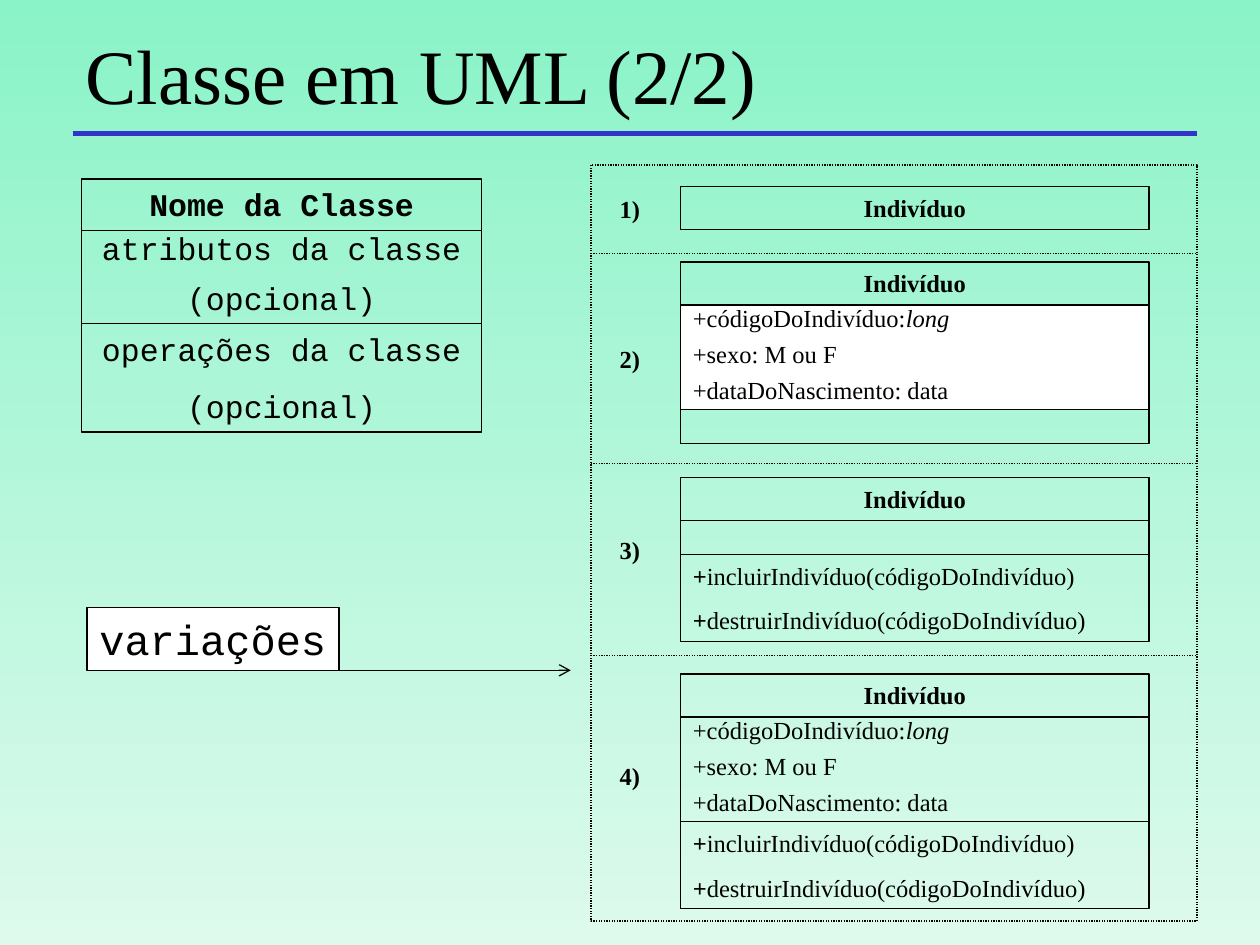
from dataclasses import dataclass

from lxml import etree
from pptx import Presentation
from pptx.dml.color import RGBColor
from pptx.enum.dml import MSO_LINE
from pptx.enum.shapes import MSO_CONNECTOR, MSO_SHAPE
from pptx.enum.text import MSO_ANCHOR, MSO_AUTO_SIZE, PP_ALIGN
from pptx.oxml.ns import qn
from pptx.util import Inches, Pt

LEFT, CENTER = PP_ALIGN.LEFT, PP_ALIGN.CENTER
TOP = MSO_ANCHOR.TOP
GROW, FIXED = MSO_AUTO_SIZE.SHAPE_TO_FIT_TEXT, MSO_AUTO_SIZE.NONE
RECT, STRAIGHT = MSO_SHAPE.RECTANGLE, MSO_CONNECTOR.STRAIGHT
DOTTED = MSO_LINE.ROUND_DOT


@dataclass(frozen=True)
class Theme:
    ink: RGBColor = RGBColor(0, 0, 0)
    paper: RGBColor = RGBColor(255, 255, 255)
    rule: RGBColor = RGBColor(0x33, 0x33, 0xCC)
    bg_top: RGBColor = RGBColor(0x8A, 0xF3, 0xC7)
    bg_bottom: RGBColor = RGBColor(0xDD, 0xFA, 0xED)
    serif: str = "Times New Roman"
    mono: str = "Courier New"
    title: int = 44
    label: int = 24
    model: int = 18
    body: int = 14
    hairline: float = 0.75


T = Theme()


def write(sp, paragraphs, size=T.body, font=T.serif, align=LEFT, before=0,
          spacing=None, wrap=True, fit=GROW):
    """Each paragraph is a list of (text, style); style holds b and/or i."""
    tf = sp.text_frame
    tf.word_wrap, tf.auto_size, tf.vertical_anchor = wrap, fit, TOP
    for i, runs in enumerate(paragraphs):
        p = tf.add_paragraph() if i else tf.paragraphs[0]
        p.alignment, p.space_before = align, Pt(before)
        if spacing:
            p.line_spacing = spacing
        for text, style in runs:
            r = p.add_run()
            r.text = text
            r.font.name, r.font.size = font, Pt(size)
            r.font.bold, r.font.italic = "b" in style, "i" in style
            r.font.color.rgb = T.ink


def draw(shapes, x, y, w, h, kind="box", fill=None, color=T.ink,
         width=T.hairline, dash=None):
    """Outlined box, or a line whose run and rise are w and h."""
    if kind == "line":
        sp = shapes.add_connector(STRAIGHT, Inches(x), Inches(y),
                                  Inches(x + w), Inches(y + h))
        etree.SubElement(sp._element.spPr, qn("a:effectLst"))
    else:
        sp = shapes.add_shape(RECT, Inches(x), Inches(y), Inches(w), Inches(h))
        sp.shadow.inherit = False
        if fill is None:
            sp.fill.background()
        else:
            sp.fill.solid()
            sp.fill.fore_color.rgb = fill
    sp.line.color.rgb, sp.line.width = color, Pt(width)
    if dash:
        sp.line.dash_style = dash
    return sp


prs = Presentation()
prs.slide_width, prs.slide_height = Inches(10), Inches(7.5)
s = prs.slides.add_slide(prs.slide_layouts[5])

# Background
bg = s.background.fill
bg.gradient()
bg.gradient_angle = 270
for stop, color in zip(bg.gradient_stops, (T.bg_top, T.bg_bottom)):
    stop.color.rgb = color

# Title and rule
title = s.shapes.title
title.left, title.top = Inches(0.58), Inches(0.17)
title.width, title.height = Inches(8.5), Inches(0.75)
write(title, [[("Classe em UML (2/2)", "")]], size=T.title, fit=FIXED)
draw(s.shapes, 0.58, 1.06, 8.92, 0, kind="line", color=T.rule, width=3)

# General model of a class
model = s.shapes.add_group_shape()
MODEL_ROWS = [
    (0.41, None, [[("Nome da Classe", "b")]]),
    (0.74, 0.8, [[("atributos da classe", "")], [("(opcional)", "")]]),
    (0.86, None, [[("operações da classe", "")], [("(opcional)", "")]]),
]
y = 1.42
for h, spacing, text in MODEL_ROWS:
    write(draw(model.shapes, 0.65, y, 3.17, h), text, size=T.model,
          font=T.mono, align=CENTER, before=11.2, spacing=spacing)
    y += h

# Class compartments: height, paragraphs, text format
NAME = (0.34, [[("Indivíduo", "b")]], {"align": CENTER})
ATTRIBUTES = (0.83, [[("+códigoDoIndivíduo:", ""), ("long", "i")],
                     [("+sexo: M ou F", "")],
                     [("+dataDoNascimento: data", "")]], {"spacing": 0.7})
OPERATIONS = (0.69, [[("+", "b"), (f"{verb}Indivíduo(códigoDoIndivíduo)", "")]
                     for verb in ("incluir", "destruir")], {})
EMPTY = (0.27, [], {})

# Numbered variations: class top, number top, attribute fill, compartments
VARIATIONS = [
    (1.48, 1.49, None, [NAME]),
    (2.08, 2.68, T.paper, [NAME, ATTRIBUTES, EMPTY]),
    (3.79, 4.2, None, [NAME, EMPTY, OPERATIONS]),
    (5.35, 5.99, None, [NAME, ATTRIBUTES, OPERATIONS]),
]
for number, (y, number_y, fill, parts) in enumerate(VARIATIONS, 1):
    for part in parts:
        h, text, style = part
        sp = draw(s.shapes, 5.4, y, 3.72, h,
                  fill=fill if part is ATTRIBUTES else None)
        if text:
            write(sp, text, before=8.8, **style)
        y += h
    tb = s.shapes.add_textbox(Inches(4.82), Inches(number_y),
                              Inches(0.36), Inches(0.34))
    write(tb, [[(f"{number})", "b")]], wrap=False)

# Dotted frame and separators
draw(s.shapes, 4.69, 1.31, 4.81, 6, dash=DOTTED)
for y in (2.01, 3.68, 5.2):
    draw(s.shapes, 4.69, y, 4.81, 0, kind="line", dash=DOTTED)

# Label and arrow to the variations
label = draw(s.shapes, 0.69, 4.82, 2, 0.5, fill=T.paper)
write(label, [[("variações", "")]], size=T.label, font=T.mono, wrap=False)
arrow = draw(s.shapes, 0.69, 5.32, 3.84, 0, kind="line")
etree.SubElement(arrow.line._get_or_add_ln(), qn("a:tailEnd"), type="arrow")

prs.save("out.pptx")
